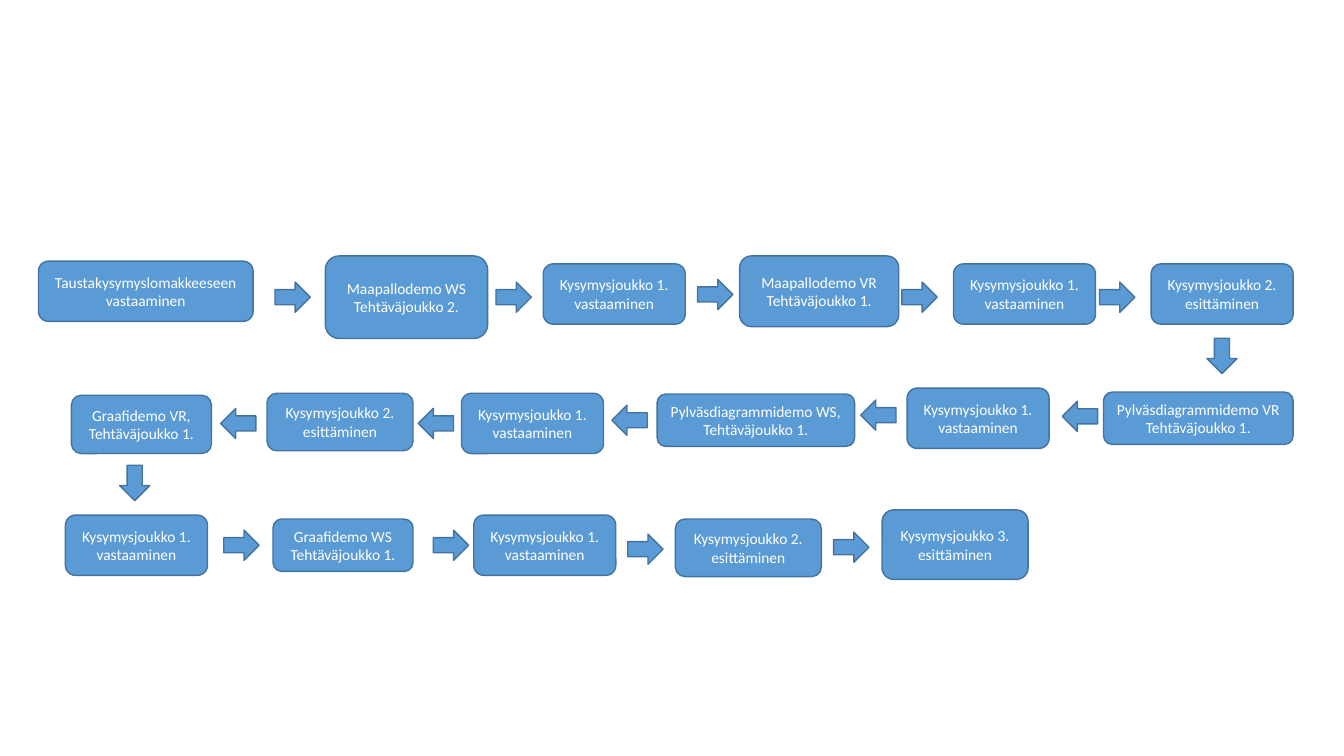
from pptx import Presentation
from pptx import util as u
from pptx.dml.color import RGBColor
from pptx.enum import shapes, text

BLUE = RGBColor(0x5B, 0x9B, 0xD5)
EDGE = RGBColor(0x43, 0x73, 0x9E)
WHITE = RGBColor(0xFF, 0xFF, 0xFF)

KIND = shapes.MSO_SHAPE
RIGHT, DOWN, LEFT = 0, 90, 180
WIDE, HIGH = 3.58, 1.52

ASK1 = "Kysymysjoukko 1. vastaaminen"
ASK2 = "Kysymysjoukko 2. esittäminen"
ASK3 = "Kysymysjoukko 3. esittäminen"

STEPS = [
    ("Taustakysymyslomakkeeseen vastaaminen", 0.97, 6.58, 5.41, HIGH),
    ("Maapallodemo WS\nTehtäväjoukko 2.", 8.2, 6.45, 4.09, 2.08),
    (ASK1, 13.69, 6.65, WIDE, HIGH),
    ("Maapallodemo VR\nTehtäväjoukko 1.", 18.64, 6.45, 4.01, 1.78),
    (ASK1, 24.03, 6.65, WIDE, HIGH),
    (ASK2, 29.01, 6.65, WIDE, HIGH),
    ("Pylväsdiagrammidemo VR Tehtäväjoukko 1.", 27.81, 9.88, 4.78, 1.32),
    (ASK1, 22.86, 9.78, WIDE, HIGH),
    ("Pylväsdiagrammidemo WS, Tehtäväjoukko 1.", 16.56, 9.93, 4.98, 1.32),
    (ASK1, 11.63, 9.91, WIDE, HIGH),
    (ASK2, 6.73, 9.91, 3.68, 1.45),
    ("Graafidemo VR,\nTehtäväjoukko 1.", 1.8, 9.96, 3.53, 1.47),
    (ASK1, 1.65, 12.98, WIDE, HIGH),
    ("Graafidemo WS\nTehtäväjoukko 1.", 6.88, 13.08, 3.53, 1.32),
    (ASK1, 11.94, 12.98, WIDE, HIGH),
    (ASK2, 17.02, 13.08, 3.68, 1.45),
    (ASK3, 22.23, 12.85, 3.68, 1.75),
]

ARROWS = {
    RIGHT: [(6.93, 7.11), (12.5, 7.11), (17.58, 7.04), (22.73, 7.11),
            (27.71, 7.11), (5.64, 13.36), (10.92, 13.36), (15.82, 13.46),
            (21.01, 13.41)],
    DOWN: [(30.35, 8.59), (2.95, 11.79)],
    LEFT: [(26.77, 10.11), (21.69, 10.08), (15.42, 10.21), (10.54, 10.29),
           (5.56, 10.29)],
}


def draw(slide, kind, *place):
    shape = slide.shapes.add_shape(kind, *map(u.Cm, place))
    shape.shadow.inherit = False
    shape.fill.solid()
    shape.fill.fore_color.rgb = BLUE
    shape.line.color.rgb = EDGE
    shape.line.width = u.Pt(1)
    return shape


def write(shape, words, size=11, color=WHITE, font="Calibri",
          align=text.PP_ALIGN.CENTER):
    frame = shape.text_frame
    frame.word_wrap = True
    frame.vertical_anchor = text.MSO_ANCHOR.MIDDLE
    frame.text = words
    for para in frame.paragraphs:
        para.alignment = align
        for run in para.runs:
            run.font.size = u.Pt(size)
            run.font.name = font
            run.font.color.rgb = color


def step(slide, words, *place):
    write(draw(slide, KIND.ROUNDED_RECTANGLE, *place), words)


def arrow(slide, left, top, turn):
    draw(slide, KIND.RIGHT_ARROW, left, top, 0.89, 0.76).rotation = turn


def main():
    deck = Presentation()
    deck.slide_width, deck.slide_height = u.Cm(33.87), u.Cm(19.05)
    slide = deck.slides.add_slide(deck.slide_layouts[6])
    for item in STEPS:
        step(slide, *item)
    for turn, spots in ARROWS.items():
        for left, top in spots:
            arrow(slide, left, top, turn)
    deck.save("out.pptx")


if __name__ == "__main__":
    main()
